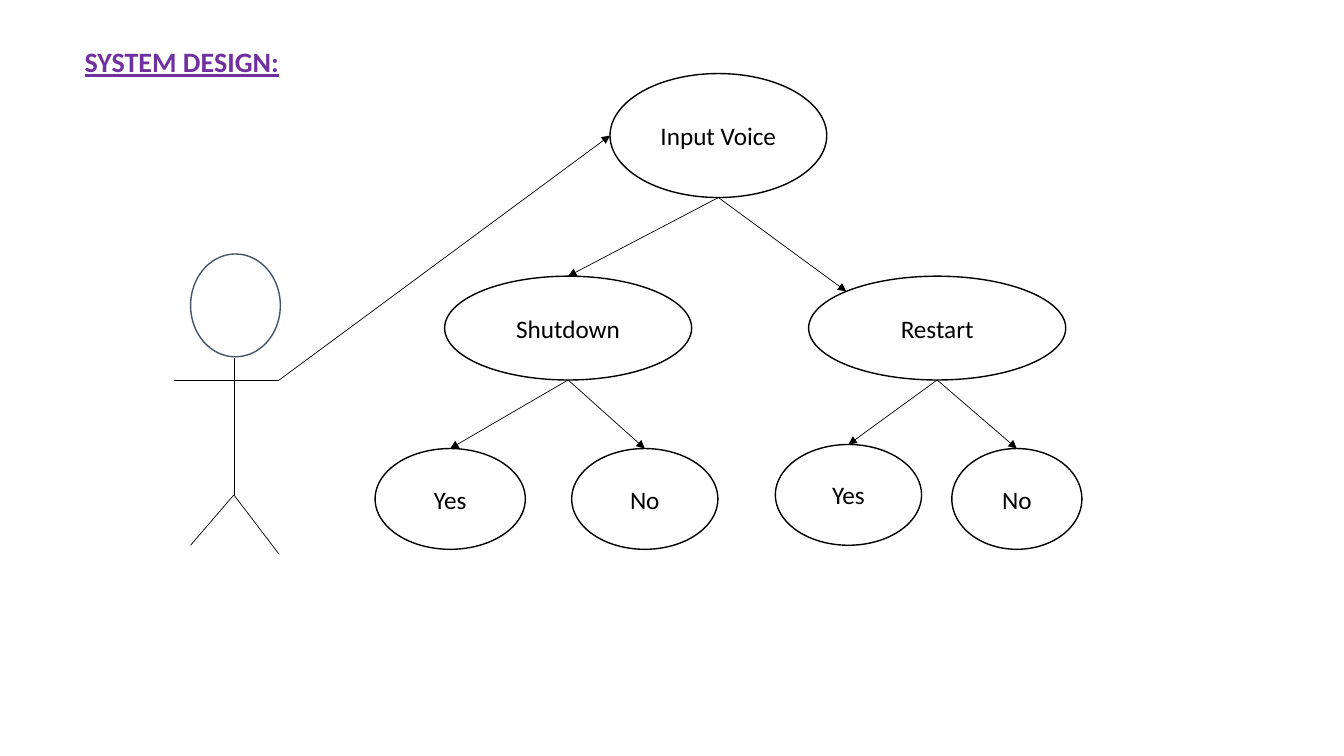
from math import sqrt

from lxml.etree import SubElement
from pptx import Presentation
from pptx.dml.color import RGBColor
from pptx.enum.shapes import MSO_CONNECTOR, MSO_SHAPE
from pptx.enum.text import MSO_ANCHOR, PP_ALIGN
from pptx.oxml.ns import qn
from pptx.util import Inches, Pt

COLORS = {"heading": "7030A0", "ink": "000000", "paper": "FFFFFF", "head": "44546A"}
HEADING_FONT = {"name": "Calibri", "size": Pt(20), "bold": True, "underline": True}
LABEL_FONT = {"name": "Calibri", "size": Pt(18)}


def color(name):
    return RGBColor.from_string(COLORS[name])


def set_font(span, settings, color_name):
    for key, value in settings.items():
        setattr(span.font, key, value)
    span.font.color.rgb = color(color_name)


def add_line(page, start, end, arrow=False):
    ends = [Inches(value) for value in (*start, *end)]
    line = page.shapes.add_connector(MSO_CONNECTOR.STRAIGHT, *ends)
    line.line.color.rgb = color("ink")
    line.line.width = Pt(0.5)
    if arrow:
        SubElement(line.line._get_or_add_ln(), qn("a:tailEnd"), type="triangle")
    SubElement(line._element.spPr, qn("a:effectLst"))


def add_oval(page, box, label="", kind=MSO_SHAPE.OVAL, outline="ink"):
    oval = page.shapes.add_shape(kind, *[Inches(value) for value in box])
    oval.shadow.inherit = False
    oval.fill.solid()
    oval.fill.fore_color.rgb = color("paper")
    oval.line.color.rgb = color(outline)
    oval.line.width = Pt(1)
    if label:
        oval.text_frame.vertical_anchor = MSO_ANCHOR.MIDDLE
        para = oval.text_frame.paragraphs[0]
        para.alignment = PP_ALIGN.CENTER
        span = para.add_run()
        span.text = label
        set_font(span, LABEL_FONT, "ink")


def top(box):
    left, upper, width, _ = box
    return left + width / 2, upper


def bottom(box):
    left, upper, width, height = box
    return left + width / 2, upper + height


def upper_left(box):
    left, upper, width, height = box
    inset = (1 - 1 / sqrt(2)) / 2
    return left + width * inset, upper + height * inset


def add_heading(page, box):
    page.shapes.title._element.getparent().remove(page.shapes.title._element)
    body = page.placeholders[1]
    body.left, body.top, body.width, body.height = [Inches(value) for value in box]
    body.text_frame.vertical_anchor = MSO_ANCHOR.TOP
    para = body.text_frame.paragraphs[0]
    para.line_spacing, para.space_before = 0.9, Pt(10)
    props = para._p.get_or_add_pPr()
    props.set("marL", str(Inches(0.25)))
    props.set("indent", str(-Inches(0.25)))
    SubElement(props, qn("a:buNone"))
    span = para.add_run()
    span.text = "SYSTEM DESIGN:"
    set_font(span, HEADING_FONT, "heading")


def add_user(page, box):
    """Draw the stick figure and return the tip of its right hand."""
    left, upper, width, _ = box
    right = left + width
    spine, neck, arms, hips = left + 0.59, upper + 1.03, upper + 1.25, upper + 2.39
    foot = left + 0.16
    add_oval(page, (foot, upper, 0.89, 1.02),
             kind=MSO_SHAPE.FLOWCHART_CONNECTOR, outline="head")
    limbs = [
        ((spine, neck), (spine, hips)),
        ((left, arms), (right, arms)),
        ((spine, hips), (foot, upper + 2.89)),
        ((spine, hips), (right, upper + 2.98)),
    ]
    for start, end in limbs:
        add_line(page, start, end)
    return right, arms


def add_command_tree(page, box, hand):
    left, upper, _, _ = box

    def place(x, y, width, height):
        return left + x, upper + y, width, height

    voice = place(2.33, 0, 2.15, 1.23)
    add_oval(page, voice, "Input Voice", MSO_SHAPE.FLOWCHART_CONNECTOR)
    add_line(page, hand, (voice[0], voice[1] + voice[3] / 2), arrow=True)

    # Each command: label, box, arrow target, and its answers
    commands = [
        ("Shutdown", place(0.69, 2.01, 2.45, 1.03), top,
         {"Yes": place(0, 3.72, 1.49, 1), "No": place(1.95, 3.72, 1.45, 1)}),
        ("Restart", place(4.3, 2.01, 2.55, 1.03), upper_left,
         {"Yes": place(3.97, 3.68, 1.45, 1), "No": place(5.72, 3.72, 1.29, 1)}),
    ]
    for label, command, target, answers in commands:
        add_oval(page, command, label)
        add_line(page, bottom(voice), target(command), arrow=True)
        for answer, answer_box in answers.items():
            add_oval(page, answer_box, answer)
            add_line(page, bottom(command), top(answer_box), arrow=True)


deck = Presentation()
deck.slide_width, deck.slide_height = Inches(13.33), Inches(7.5)
page = deck.slides.add_slide(deck.slide_layouts[1])

add_heading(page, (0.74, 0.43, 9.4, 6.18))
hand = add_user(page, (1.73, 2.52, 1.04, 2.98))
add_command_tree(page, (3.72, 0.73, 7.01, 4.72), hand)

deck.save("out.pptx")
